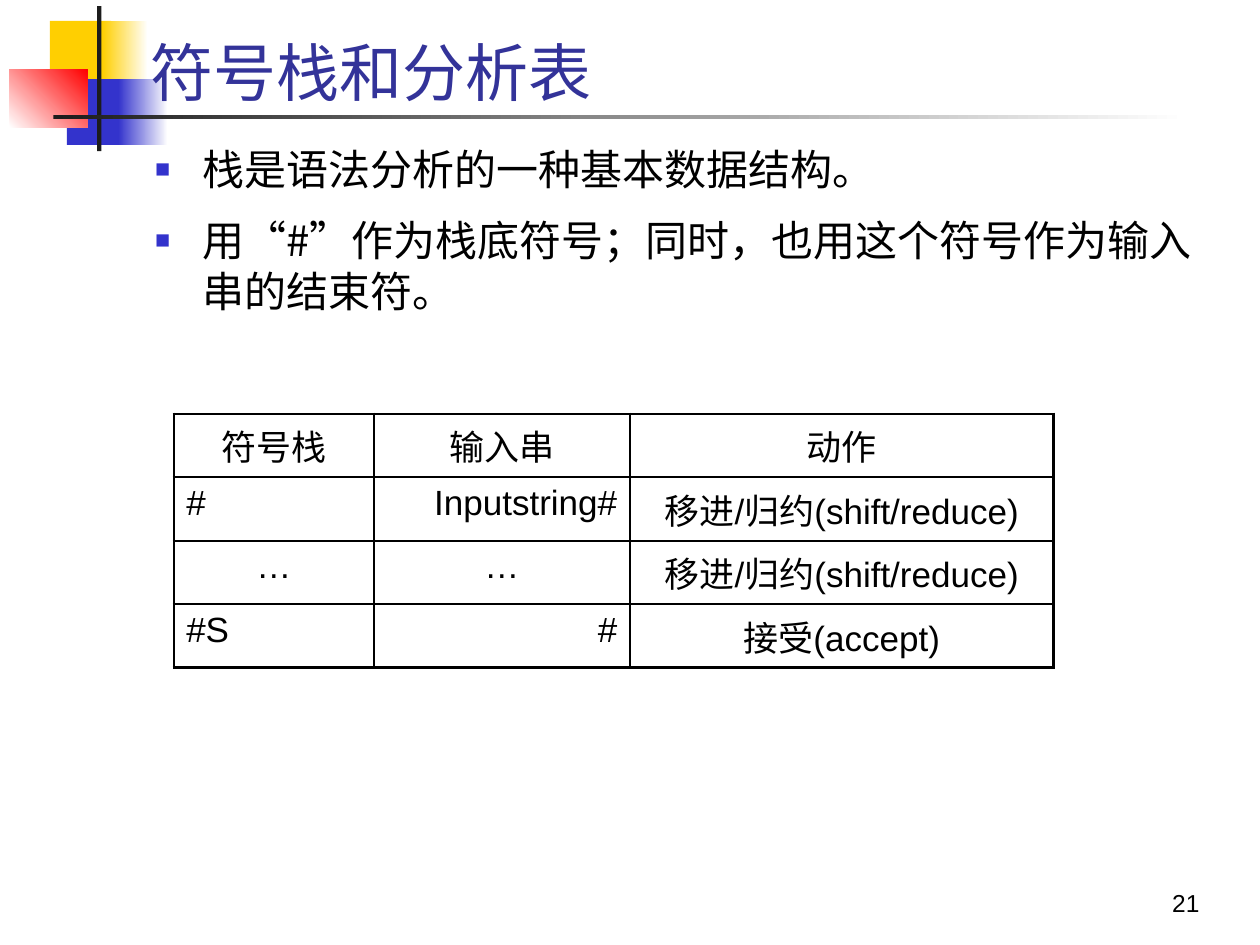
"""Builds the slide on the symbol stack and the parsing table."""
from lxml import etree
from pptx import Presentation
from pptx import util as u
from pptx.dml import color
from pptx.enum import shapes, text
from pptx.oxml import ns

LEFT, CENTER, RIGHT = text.PP_ALIGN.LEFT, text.PP_ALIGN.CENTER, text.PP_ALIGN.RIGHT
CJK = "Noto Sans CJK SC"


def rgb(value):
    return color.RGBColor.from_string(value)


def add_xml(parent, tag, **attrs):
    return etree.SubElement(parent, ns.qn(tag), attrs)


class Deck:
    font, ink, accent = "Arial", "000000", "3333CC"

    def __init__(self, width, height):
        self.prs = Presentation()
        self.prs.slide_width, self.prs.slide_height = u.Pt(width), u.Pt(height)
        self.s = self.prs.slides.add_slide(self.prs.slide_layouts[5])

    def style(self, item, size, name=None, ink=None):
        item.font.size = u.Pt(size)
        item.font.name = name or self.font
        item.font.color.rgb = rgb(ink or self.ink)

    def block(self, box, start, end=None, angle=0):
        sp = self.s.shapes.add_shape(shapes.MSO_SHAPE.RECTANGLE, *map(u.Pt, box))
        sp.shadow.inherit = False
        sp.line.fill.background()
        if end:
            sp.fill.gradient()
            sp.fill.gradient_angle = angle
            for stop, value in zip(sp.fill.gradient_stops, (start, end)):
                stop.color.rgb = rgb(value)
        else:
            sp.fill.solid()
            sp.fill.fore_color.rgb = rgb(start)

    def title(self, box, words, size, ink):
        sp = self.s.shapes.title
        sp.left, sp.top, sp.width, sp.height = map(u.Pt, box)
        self.s.shapes._spTree.append(sp._element)
        tf = sp.text_frame
        tf.auto_size = text.MSO_AUTO_SIZE.NONE
        tf.vertical_anchor = text.MSO_ANCHOR.BOTTOM
        tf.text = words
        p = tf.paragraphs[0]
        p.alignment, p.line_spacing = LEFT, 0.85
        self.style(p, size, ink=ink)

    def textbox(self, box, anchor=text.MSO_ANCHOR.TOP):
        tf = self.s.shapes.add_textbox(*map(u.Pt, box)).text_frame
        tf.word_wrap, tf.vertical_anchor = True, anchor
        return tf

    def bullets(self, box, items, size, indent):
        tf = self.textbox(box)
        for i, runs in enumerate(items):
            p = tf.add_paragraph() if i else tf.paragraphs[0]
            p.space_before = u.Pt(12 if i else 0)
            pPr = p._p.get_or_add_pPr()
            pPr.set("marL", str(u.Pt(indent)))
            pPr.set("indent", str(u.Pt(-indent)))
            add_xml(add_xml(pPr, "a:buClr"), "a:srgbClr", val=self.accent)
            add_xml(pPr, "a:buSzPct", val="60000")
            add_xml(pPr, "a:buFont", typeface=self.font)
            add_xml(pPr, "a:buChar", char="■")
            self.style(p, size, runs[0][1])
            for words, name in runs:
                r = p.add_run()
                r.text = words
                if name != runs[0][1]:
                    r.font.name = name

    def label(self, box, words, size, align):
        tf = self.textbox(box, text.MSO_ANCHOR.BOTTOM)
        p = tf.paragraphs[0]
        p.text, p.alignment = words, align
        self.style(p, size)

    def cell(self, cell, words, size, align):
        tcPr = cell._tc.get_or_add_tcPr()
        for side in ("a:lnL", "a:lnR", "a:lnT", "a:lnB"):
            line = add_xml(tcPr, side, w=str(u.Pt(1.5)))
            add_xml(add_xml(line, "a:solidFill"), "a:srgbClr", val=self.ink)
        cell.fill.background()
        p = cell.text_frame.paragraphs[0]
        p.text, p.alignment = words, align
        self.style(p, size)

    def table(self, left, top, widths, row_height, rows, aligns, size):
        frame = self.s.shapes.add_table(
            len(rows), len(widths), u.Pt(left), u.Pt(top),
            u.Pt(sum(widths)), u.Pt(row_height * len(rows)))
        table = frame.table
        for column, width in zip(table.columns, widths):
            column.width = u.Pt(width)
        for i, row in enumerate(rows):
            table.rows[i].height = u.Pt(row_height)
            for j, words in enumerate(row):
                centred = i == 0 or words == "…"
                self.cell(table.cell(i, j), words, size, CENTER if centred else aligns[j])


def main():
    deck = Deck(720, 540)
    deck.block((28.5, 12, 35, 37.5), "FFCF01")
    deck.block((58.5, 12, 26, 37.5), "FFCF01", "FFFFFF")
    deck.block((38.25, 45.25, 33, 37.5), "3333CC")
    deck.block((67.5, 45.25, 28.5, 37.5), "3333CC", "FFFFFF")
    deck.block((5.5, 39.5, 44.5, 33.5), "FFFFFF", "FF0000", 45)
    deck.block((55.5, 3.5, 2.5, 83), "1C1C1C")
    deck.block((30.5, 65.75, 648, 2.25), "1C1C1C", "FFFFFF")
    deck.title((79, 17, 624, 49), "符号栈和分析表", 36, "333399")
    deck.bullets((81.5, 78.5, 622, 416), [
        [("栈是语法分析的一种基本数据结构。", CJK)],
        [("用“#”", CJK), ("作为栈底符号；同时，也用这个符号作为输入串的结束符。", "Arial")],
    ], 24, 27)
    deck.label((542.5, 492, 150, 36), "21", 14, RIGHT)
    deck.table(99.25, 236.5, (114.5, 146.25, 242), 36.25, [
        ("符号栈", "输入串", "动作"),
        ("#", "Inputstring#", "移进/归约(shift/reduce)"),
        ("…", "…", "移进/归约(shift/reduce)"),
        ("#S", "#", "接受(accept)"),
    ], (LEFT, RIGHT, CENTER), 20)
    deck.prs.save("out.pptx")


if __name__ == "__main__":
    main()
